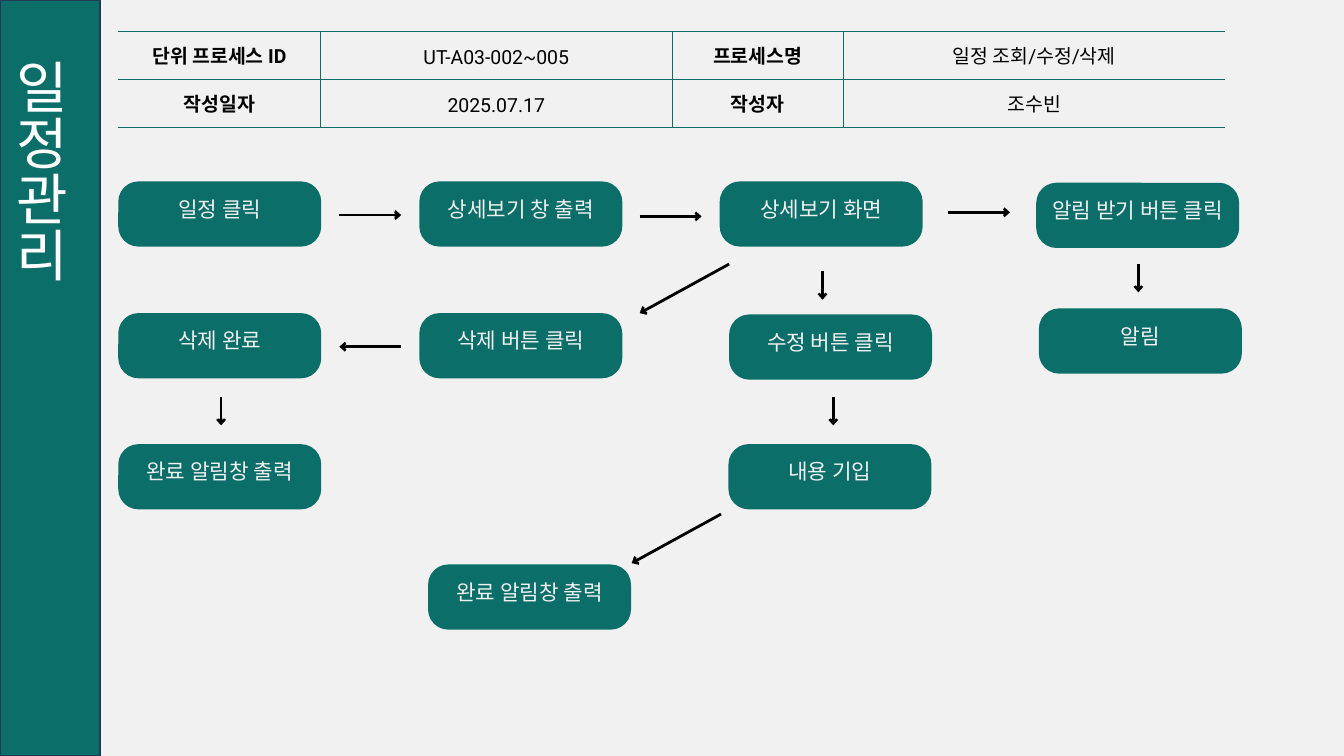
from dataclasses import dataclass

import pptx
import pptx.dml.color
import pptx.enum.shapes
import pptx.enum.text
import pptx.oxml
import pptx.oxml.ns
import pptx.util
from pptx.util import Inches

ALIGN = pptx.enum.text.PP_ALIGN
ANCHOR = pptx.enum.text.MSO_ANCHOR
NS = pptx.oxml.ns.nsdecls("a")


@dataclass(frozen=True)
class Theme:
    background: str = "F1F1F1"
    green: str = "0B6E69"
    outline: str = "233953"
    ink: str = "000000"
    white: str = "FFFFFF"
    font: str = "Roboto"
    title_font: str = "Calibri"
    title_size: float = 60
    table_size: float = 20.8
    step_size: float = 22.8


THEME = Theme()

HEADER_COLUMNS = [3.01, 5.23, 2.55, 5.68]
HEADER_ROWS = [
    ["단위 프로세스 ID", "UT-A03-002~005", "프로세스명", "일정 조회/수정/삭제"],
    ["작성일자", "2025.07.17", "작성자", "조수빈"],
]

# Step label with its left and top inside the flow area
STEPS = [
    ("일정 클릭", 0, 0),
    ("상세보기 창 출력", 4.48, 0),
    ("상세보기 화면", 8.95, 0),
    ("알림 받기 버튼 클릭", 13.66, 0.02),
    ("삭제 완료", 0, 1.96),
    ("삭제 버튼 클릭", 4.48, 1.96),
    ("수정 버튼 클릭", 9.09, 1.98),
    ("알림", 13.7, 1.89),
    ("완료 알림창 출력", 0, 3.91),
    ("내용 기입", 9.08, 3.91),
    ("완료 알림창 출력", 4.61, 5.7),
]

RIGHT, LEFT, DOWN, DOWN_LEFT = (0.92, 0), (-0.92, 0), (0, 0.42), (-1.33, 0.73)

# Direction with the starting points inside the flow area
ARROWS = [
    (RIGHT, [(3.29, 0.5), (7.76, 0.52), (12.35, 0.46)]),
    (LEFT, [(4.21, 2.46)]),
    (DOWN, [(10.48, 1.34), (15.18, 1.23), (1.53, 3.21), (10.64, 3.21)]),
    (DOWN_LEFT, [(9.09, 1.23), (8.97, 4.95)]),
]


def rgb(value):
    return pptx.dml.color.RGBColor.from_string(value)


def style_paragraph(p, align, font, size, color, bold=False):
    p.alignment = align
    for r in p.runs:
        r.font.name = font
        r.font.size = pptx.util.Pt(size)
        r.font.bold = bold
        r.font.color.rgb = rgb(color)


def set_margins(target, left, top, right, bottom):
    target.margin_left, target.margin_top = Inches(left), Inches(top)
    target.margin_right, target.margin_bottom = Inches(right), Inches(bottom)


def add_sidebar(slide, left, top, width, height):
    sp = slide.shapes.title
    sp.left, sp.top = Inches(left), Inches(top)
    sp.width, sp.height = Inches(width), Inches(height)
    sp.fill.solid()
    sp.fill.fore_color.rgb = rgb(THEME.green)
    sp.line.color.rgb = rgb(THEME.outline)
    sp.line.width = pptx.util.Pt(2)
    tf = sp.text_frame
    tf.text = "일정관리"
    tf.auto_size = pptx.enum.text.MSO_AUTO_SIZE.NONE
    tf.vertical_anchor = ANCHOR.BOTTOM
    set_margins(tf, 0.1, 0.88, 0.1, 0.05)
    tf._txBody.bodyPr.set("vert", "eaVert")
    style_paragraph(tf.paragraphs[0], ALIGN.JUSTIFY, THEME.title_font,
                    THEME.title_size, THEME.white)


def set_borders(cell, visible):
    """Draw the sides named in visible and hide the others."""
    tcPr = cell._tc.get_or_add_tcPr()
    for i, side in enumerate("LRTB"):
        paint = "<a:noFill/>"
        if side in visible:
            paint = f'<a:solidFill><a:srgbClr val="{THEME.green}"/></a:solidFill>'
        tcPr.insert(i, pptx.oxml.parse_xml(
            f'<a:ln{side} {NS} w="{pptx.util.Pt(0.75)}">{paint}</a:ln{side}>'))


def add_header_table(slide, left, top, width, height):
    rows, columns = len(HEADER_ROWS), len(HEADER_COLUMNS)
    table = slide.shapes.add_table(rows, columns, Inches(left), Inches(top),
                                   Inches(width), Inches(height)).table
    table.first_row = table.horz_banding = False
    for column, share in zip(table.columns, HEADER_COLUMNS):
        column.width = Inches(width * share / sum(HEADER_COLUMNS))
    for i, labels in enumerate(HEADER_ROWS):
        table.rows[i].height = Inches(height / rows)
        for j, label in enumerate(labels):
            cell = table.cell(i, j)
            cell.fill.background()
            cell.vertical_anchor = ANCHOR.MIDDLE
            set_margins(cell, 0.01, 0.01, 0.01, 0.01)
            cell.text_frame.text = label
            p = cell.text_frame.paragraphs[0]
            p.line_spacing = pptx.util.Pt(29.2)
            style_paragraph(p, ALIGN.CENTER, THEME.font, THEME.table_size,
                            THEME.ink, bold=j % 2 == 0)
            set_borders(cell, "TB" + "L" * (j > 0) + "R" * (j < columns - 1))


def add_step(slide, label, left, top, width=3.02, height=0.97):
    sp = slide.shapes.add_shape(
        pptx.enum.shapes.MSO_SHAPE.ROUNDED_RECTANGLE,
        Inches(left), Inches(top), Inches(width), Inches(height))
    sp.adjustments[0] = 0.31
    sp.shadow.inherit = False
    sp.fill.solid()
    sp.fill.fore_color.rgb = rgb(THEME.green)
    sp.line.fill.background()
    tf = sp.text_frame
    tf.word_wrap = True
    tf.vertical_anchor = ANCHOR.TOP
    set_margins(tf, 0.06, 0, 0.06, 0)
    tf.text = label
    p = tf.paragraphs[0]
    p.line_spacing = pptx.util.Pt(36.4)
    style_paragraph(p, ALIGN.CENTER, THEME.font, THEME.step_size, THEME.background)


def add_arrow(slide, x, y, dx, dy):
    line = slide.shapes.add_connector(
        pptx.enum.shapes.MSO_CONNECTOR.STRAIGHT,
        Inches(x), Inches(y), Inches(x + dx), Inches(y + dy))
    line.line.color.rgb = rgb(THEME.ink)
    line.line.width = pptx.util.Pt(3)
    line.line._get_or_add_ln().append(
        pptx.oxml.parse_xml(f'<a:tailEnd {NS} type="arrow" w="med" len="sm"/>'))
    line._element.spPr.append(pptx.oxml.parse_xml(f"<a:effectLst {NS}/>"))


def add_flow(slide, left, top):
    for label, x, y in STEPS:
        add_step(slide, label, left + x, top + y)
    for direction, starts in ARROWS:
        for x, y in starts:
            add_arrow(slide, left + x, top + y, *direction)


def main():
    prs = pptx.Presentation()
    prs.slide_width, prs.slide_height = Inches(20), Inches(11.25)
    slide = prs.slides.add_slide(prs.slide_layouts.get_by_name("Title Only"))
    slide.background.fill.solid()
    slide.background.fill.fore_color.rgb = rgb(THEME.background)
    add_sidebar(slide, 0, 0, 1.49, 11.25)
    add_header_table(slide, 1.76, 0.47, 16.47, 1.42)
    add_flow(slide, 1.76, 2.7)
    prs.save("out.pptx")


if __name__ == "__main__":
    main()
